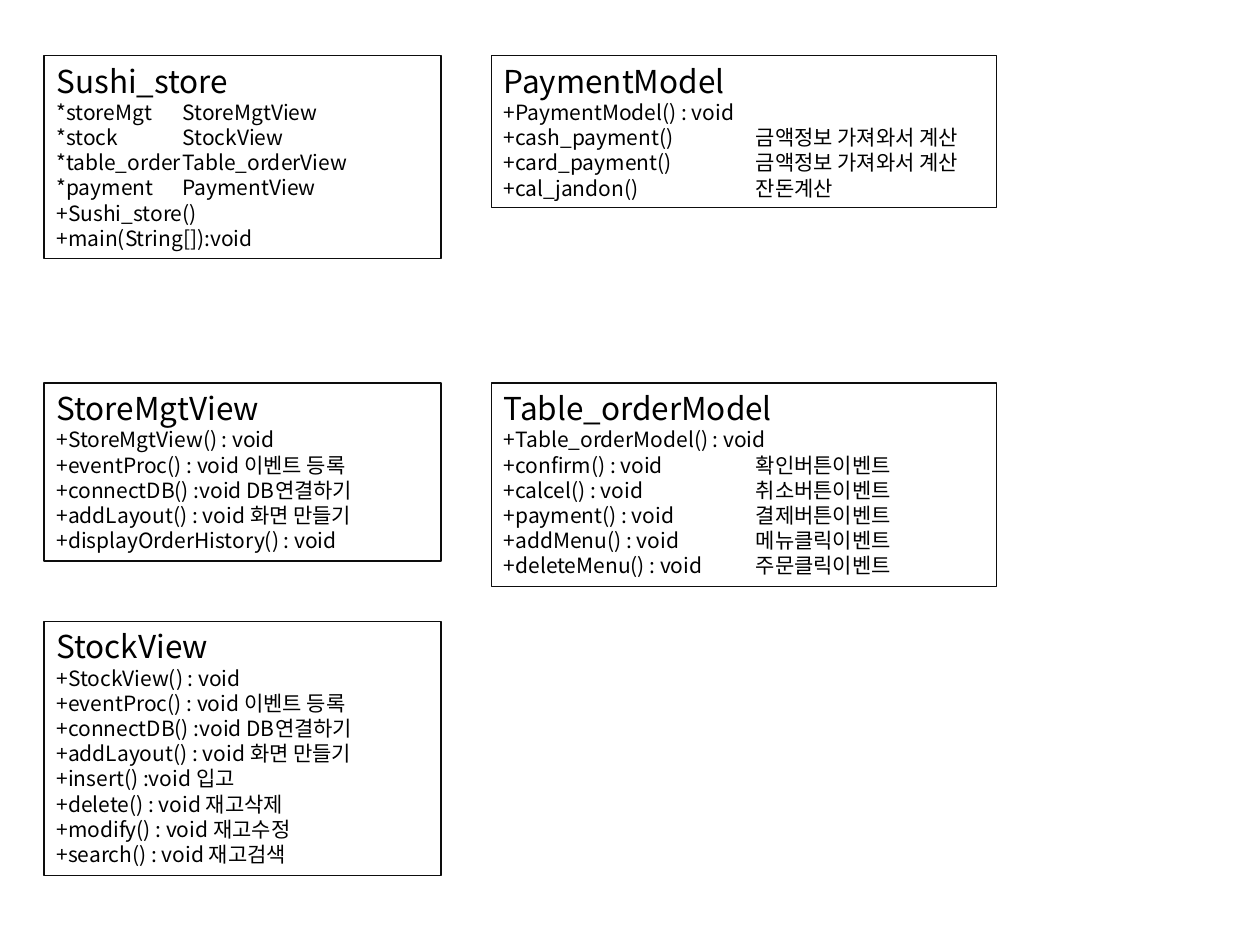
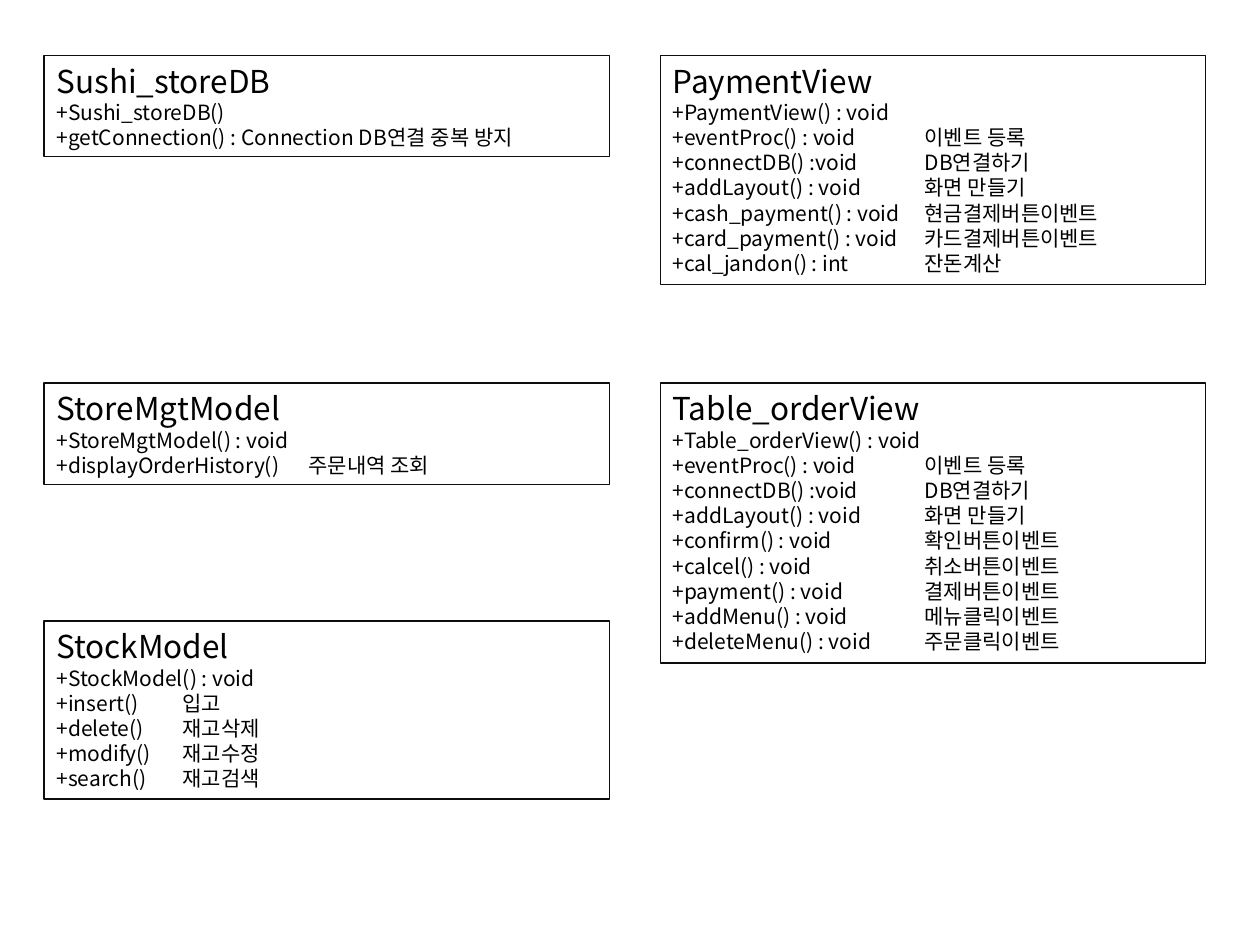
from lxml import etree
from pptx import Presentation
from pptx.dml.color import RGBColor
from pptx.enum.shapes import MSO_SHAPE
from pptx.enum.text import MSO_ANCHOR, MSO_AUTO_SIZE, PP_ALIGN
from pptx.oxml.ns import qn
from pptx.util import Inches, Pt

RECTANGLE = MSO_SHAPE.RECTANGLE
TOP = MSO_ANCHOR.TOP
FIXED_SIZE = MSO_AUTO_SIZE.NONE
LEFT = PP_ALIGN.LEFT

FONT = "Noto Sans CJK KR"
TEXT_COLOR = "000000"
LINE_COLOR = "0D0D0D"
BLANK_LAYOUT = 6

NAME_SIZE, NAME_PITCH = 18, 21.6
MEMBER_SIZE, MEMBER_PITCH = 12, 14.4
INSET_X, INSET_Y = 0.1, 0.05
TAB_STOPS = (1, 2)

# Box height in inches: the name with its insets, then each member
NAME_HEIGHT, MEMBER_HEIGHT = 0.4, 0.2025

# Tops of the three rows of class boxes
ROWS = (0.44, 3.04, 4.93)

# Members that several classes share
VIEW_MEMBERS = [
    ("+eventProc() : void", "이벤트 등록"),
    ("+connectDB() :void", "DB연결하기"),
    ("+addLayout() : void", "화면 만들기"),
]
ORDER_MEMBERS = [
    ("+confirm() : void", "확인버튼이벤트"),
    ("+calcel() : void", "취소버튼이벤트"),
    ("+payment() : void", "결제버튼이벤트"),
    ("+addMenu() : void", "메뉴클릭이벤트"),
    ("+deleteMenu() : void", "주문클릭이벤트"),
]
STOCK_NOTES = {"insert": "입고", "delete": "재고삭제",
               "modify": "재고수정", "search": "재고검색"}


def joined(members, separator):
    """Join each member to its note with a space or a tab."""
    return [separator.join(member) for member in members]


def stock_members():
    """List the stock operations of the view, with return types."""
    return [f"+{name}() {':void' if name == 'insert' else ': void'} {note}"
            for name, note in STOCK_NOTES.items()]


# Each column: left, width, and one (row, name, members) per class
SLIDES = [
    [
        (0.35, 3.15, [
            (0, "Sushi_store", [
                "*storeMgt\tStoreMgtView",
                "*stock\tStockView",
                "*table_order\tTable_orderView",
                "*payment\tPaymentView",
                "+Sushi_store()",
                "+main(String[]):void",
            ]),
            (1, "StoreMgtView", [
                "+StoreMgtView() : void",
                *joined(VIEW_MEMBERS, " "),
                "+displayOrderHistory() : void",
            ]),
            (2, "StockView", [
                "+StockView() : void",
                *joined(VIEW_MEMBERS, " "),
                *stock_members(),
            ]),
        ]),
        (3.9, 4.01, [
            (0, "PaymentModel", [
                "+PaymentModel() : void",
                "+cash_payment()\t금액정보 가져와서 계산",
                "+card_payment()\t금액정보 가져와서 계산",
                "+cal_jandon()\t잔돈계산",
            ]),
            (1, "Table_orderModel", [
                "+Table_orderModel() : void",
                *joined(ORDER_MEMBERS, "\t"),
            ]),
        ]),
    ],
    [
        (0.35, 4.49, [
            (0, "Sushi_storeDB", [
                "+Sushi_storeDB()",
                "+getConnection() : Connection DB연결 중복 방지",
            ]),
            (1, "StoreMgtModel", [
                "+StoreMgtModel() : void",
                "+displayOrderHistory()\t주문내역 조회",
            ]),
            (2, "StockModel", [
                "+StockModel() : void",
                *[f"+{name}()\t{note}" for name, note in STOCK_NOTES.items()],
            ]),
        ]),
        (5.24, 4.33, [
            (0, "PaymentView", [
                "+PaymentView() : void",
                *joined(VIEW_MEMBERS, "\t"),
                "+cash_payment() : void\t현금결제버튼이벤트",
                "+card_payment() : void\t카드결제버튼이벤트",
                "+cal_jandon() : int\t잔돈계산",
            ]),
            (1, "Table_orderView", [
                "+Table_orderView() : void",
                *joined(VIEW_MEMBERS, "\t"),
                *joined(ORDER_MEMBERS, "\t"),
            ]),
        ]),
    ],
]


def color(value):
    """Turn a hex string into a colour."""
    return RGBColor.from_string(value)


def set_tab_stops(para):
    """Give a paragraph left tab stops at whole inches."""
    stops = etree.SubElement(para._p.get_or_add_pPr(), qn("a:tabLst"))
    for position in TAB_STOPS:
        stop = etree.SubElement(stops, qn("a:tab"))
        stop.set("pos", str(Inches(position)))
        stop.set("algn", "l")


def write_line(para, text, size, pitch):
    """Write one left-aligned line of a class box."""
    para.alignment = LEFT
    para.line_spacing = Pt(pitch)
    if "\t" in text:
        set_tab_stops(para)
    span = para.add_run()
    span.text = text
    span.font.size = Pt(size)
    span.font.name = FONT
    span.font.color.rgb = color(TEXT_COLOR)
    east_asian = etree.SubElement(span.font._element, qn("a:ea"))
    east_asian.set("typeface", FONT)


def add_class_box(page, left, top, width, name, members):
    """Add an outlined class box, as tall as its name and members need."""
    height = NAME_HEIGHT + MEMBER_HEIGHT * len(members)
    box = page.shapes.add_shape(RECTANGLE, Inches(left), Inches(top),
                                Inches(width), Inches(height))
    box.shadow.inherit = False
    box.fill.background()
    box.line.color.rgb = color(LINE_COLOR)
    box.line.width = Pt(0.75)

    frame = box.text_frame
    frame.word_wrap = True
    frame.auto_size = FIXED_SIZE
    frame.vertical_anchor = TOP
    frame.margin_left = frame.margin_right = Inches(INSET_X)
    frame.margin_top = frame.margin_bottom = Inches(INSET_Y)
    write_line(frame.paragraphs[0], name, NAME_SIZE, NAME_PITCH)
    for member in members:
        write_line(frame.add_paragraph(), member, MEMBER_SIZE, MEMBER_PITCH)


def main():
    """Build the class diagram slides."""
    deck = Presentation()
    deck.slide_width = Inches(10)
    deck.slide_height = Inches(7.5)
    for columns in SLIDES:
        page = deck.slides.add_slide(deck.slide_layouts[BLANK_LAYOUT])
        for left, width, classes in columns:
            for row, name, members in classes:
                add_class_box(page, left, ROWS[row], width, name, members)
    deck.save("out.pptx")


main()
